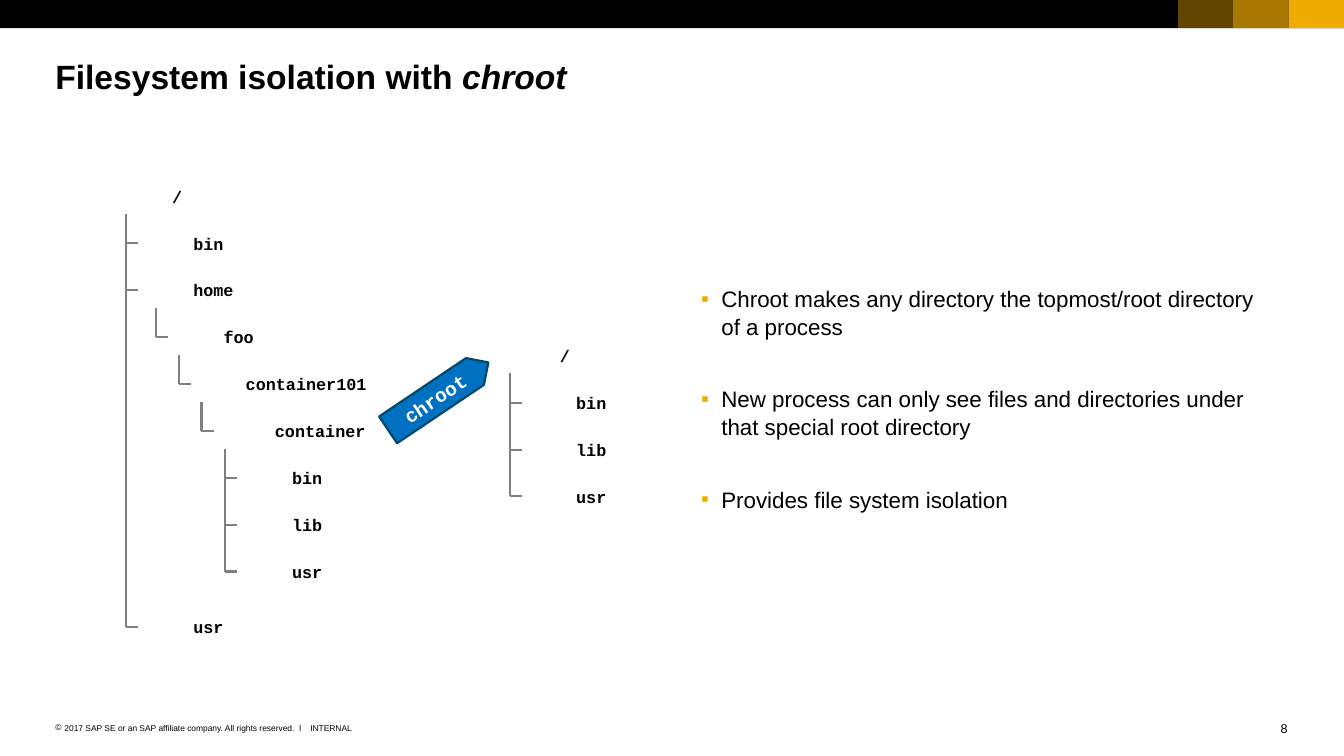
from lxml.etree import SubElement
from pptx import Presentation
from pptx.dml.color import RGBColor
from pptx.enum.shapes import MSO_CONNECTOR as Connector, MSO_SHAPE as Shape
from pptx.enum.text import MSO_ANCHOR as Anchor, PP_ALIGN as Align
from pptx.oxml.ns import qn
from pptx.util import Inches, Pt

BLACK = RGBColor(0x00, 0x00, 0x00)
WHITE = RGBColor(0xFF, 0xFF, 0xFF)
GOLD = RGBColor(0xF0, 0xAB, 0x00)
GREY = RGBColor(0x80, 0x80, 0x80)
BLUE = RGBColor(0x00, 0x70, 0xC0)
NAVY = RGBColor(0x00, 0x47, 0x6A)

SLIDE_WIDTH, SLIDE_HEIGHT = 13.34, 7.5
ROW_HEIGHT = 3.72 / 8  # eight rows of the directory tree
LABEL_HEIGHT = 0.3
TICK_LENGTH = 0.12
SPINE_RISE = 0.29  # a spine starts this far above its first tick

BODY = {"name": "Arial", "size": Pt(16), "color": BLACK}
TITLE = {**BODY, "size": Pt(24), "bold": True}
FOOTER = {**BODY, "size": Pt(6)}
PAGE_NUMBER = {**BODY, "size": Pt(9)}
CODE = {"name": "Courier New", "size": Pt(12), "bold": True, "color": BLACK}
ARROW = {**CODE, "size": Pt(14), "color": WHITE}


def add_run(paragraph, text, formats):
    run = paragraph.add_run()
    run.text = text
    for name, value in formats.items():
        if name == "color":
            run.font.color.rgb = value
        else:
            setattr(run.font, name, value)


def add_text_box(slide, left, top, width, height, inset=0.0, wrap=True, anchor=Anchor.TOP):
    box = slide.shapes.add_textbox(Inches(left), Inches(top), Inches(width), Inches(height))
    frame = box.text_frame
    frame.word_wrap = wrap
    frame.vertical_anchor = anchor
    for side in ("left", "right"):
        setattr(frame, f"margin_{side}", Inches(inset))
    for side in ("top", "bottom"):
        setattr(frame, f"margin_{side}", Inches(inset / 2))
    return frame


def set_bullet(paragraph, character, color, indent):
    properties = paragraph._p.get_or_add_pPr()
    properties.set("marL", str(Inches(indent)))
    properties.set("indent", str(-Inches(indent)))
    bullet_color = SubElement(properties, qn("a:buClr"))
    SubElement(bullet_color, qn("a:srgbClr"), val=str(color))
    SubElement(properties, qn("a:buFont"), typeface="Arial")
    SubElement(properties, qn("a:buChar"), char=character)


def add_filled_shape(slide, kind, left, top, width, height, fill, opacity=100):
    shape = slide.shapes.add_shape(
        kind, Inches(left), Inches(top), Inches(width), Inches(height))
    shape.shadow.inherit = False
    shape.fill.solid()
    shape.fill.fore_color.rgb = fill
    shape.line.fill.background()
    if opacity < 100:
        color = shape._element.spPr.find(qn("a:solidFill")).find(qn("a:srgbClr"))
        SubElement(color, qn("a:alpha"), val=str(opacity * 1000))
    return shape


def add_line(slide, start, end):
    line = slide.shapes.add_connector(
        Connector.STRAIGHT, *(Inches(value) for value in (*start, *end)))
    line.line.color.rgb = GREY
    line.line.width = Pt(1.5)
    SubElement(line._element.spPr, qn("a:effectLst"))


def add_top_bar(slide, width, height):
    add_filled_shape(slide, Shape.RECTANGLE, 0, 0, width, height, BLACK)
    square = 0.55
    for place, opacity in enumerate((100, 70, 40), start=1):
        add_filled_shape(slide, Shape.RECTANGLE, width - place * square, 0,
                         square, height, GOLD, opacity)


def add_title(slide, left, top, width, height):
    paragraph = add_text_box(slide, left, top, width, height).paragraphs[0]
    add_run(paragraph, "Filesystem isolation with ", TITLE)
    add_run(paragraph, "chroot", {**TITLE, "italic": True})


def add_label(slide, left, middle, text):
    frame = add_text_box(slide, left, middle - LABEL_HEIGHT / 2, 0.21 + 0.1 * len(text),
                         LABEL_HEIGHT, inset=0.1, wrap=False, anchor=Anchor.MIDDLE)
    add_run(frame.paragraphs[0], text, CODE)


def add_tree(slide, left, top, root_indent, branches):
    """Each branch is (spine indent, label indent, [(row, directory), ...])."""
    add_label(slide, left + root_indent, top, "/")
    for spine_indent, label_indent, entries in branches:
        spine = left + spine_indent
        heights = [top + row * ROW_HEIGHT for row, _ in entries]
        add_line(slide, (spine, heights[0] - SPINE_RISE), (spine, heights[-1]))
        for middle, (_, directory) in zip(heights, entries):
            add_line(slide, (spine, middle), (spine + TICK_LENGTH, middle))
            add_label(slide, spine + label_indent, middle, directory)


def add_chroot_arrow(slide, left, top, width, height):
    arrow = add_filled_shape(slide, Shape.PENTAGON, left, top, width, height, BLUE)
    arrow.rotation = 326.1
    arrow.line.color.rgb = NAVY
    arrow.line.width = Pt(1.5)
    frame = arrow.text_frame
    frame.vertical_anchor = Anchor.MIDDLE
    frame.paragraphs[0].alignment = Align.CENTER
    add_run(frame.paragraphs[0], "chroot", ARROW)


def add_key_points(slide, left, top, width, height):
    points = (
        "Chroot makes any directory the topmost/root directory of a process",
        "New process can only see files and directories under that special root directory",
        "Provides file system isolation",
    )
    frame = add_text_box(slide, left, top, width, height, anchor=Anchor.MIDDLE)
    for index, point in enumerate(points):
        paragraph = frame.add_paragraph() if index else frame.paragraphs[0]
        set_bullet(paragraph, "▪", GOLD, 0.2)
        paragraph.line_spacing = 1.05
        if index:
            paragraph.space_before = Pt(31.4)
        add_run(paragraph, point, BODY)


def add_footer(slide, left, top, width):
    copyright_line = add_text_box(slide, left, top, 2.48, 0.1).paragraphs[0]
    set_bullet(copyright_line, "©", BLACK, 0.09)
    add_run(copyright_line,
            "2017 SAP SE or an SAP affiliate company. All rights reserved.  ǀ", FOOTER)
    level = add_text_box(slide, left + 2.53, top, 0.42, 0.1, wrap=False).paragraphs[0]
    add_run(level, "INTERNAL", FOOTER)
    number = add_text_box(slide, left + width - 0.15, top - 0.02, 0.15, 0.15).paragraphs[0]
    number.alignment = Align.RIGHT
    add_run(number, "8", PAGE_NUMBER)


def main():
    presentation = Presentation()
    presentation.slide_width = Inches(SLIDE_WIDTH)
    presentation.slide_height = Inches(SLIDE_HEIGHT)
    slide = presentation.slides.add_slide(presentation.slide_layouts[6])

    add_top_bar(slide, SLIDE_WIDTH, 0.28)
    add_title(slide, 0.55, 0.55, 12.23, 0.4)

    # Full file system, then the part seen after chroot
    add_tree(slide, 1.25, 1.95, 0.36, [
        (0, 0.57, [(1, "bin"), (2, "home"), (9.18, "usr")]),
        (0.3, 0.57, [(3, "foo")]),
        (0.53, 0.56, [(4, "container101")]),
        (0.75, 0.63, [(5, "container")]),
        (0.98, 0.57, [(6, "bin"), (7, "lib"), (8, "usr")]),
    ])
    add_tree(slide, 5.06, 3.53, 0.4, [
        (0, 0.56, [(1, "bin"), (2, "lib"), (3, "usr")]),
    ])
    add_chroot_arrow(slide, 3.75, 3.77, 1.2, 0.32)

    add_key_points(slide, 6.96, 1.77, 5.72, 4.36)
    add_footer(slide, 0.55, 7.17, 12.23)
    presentation.save("out.pptx")


if __name__ == "__main__":
    main()
